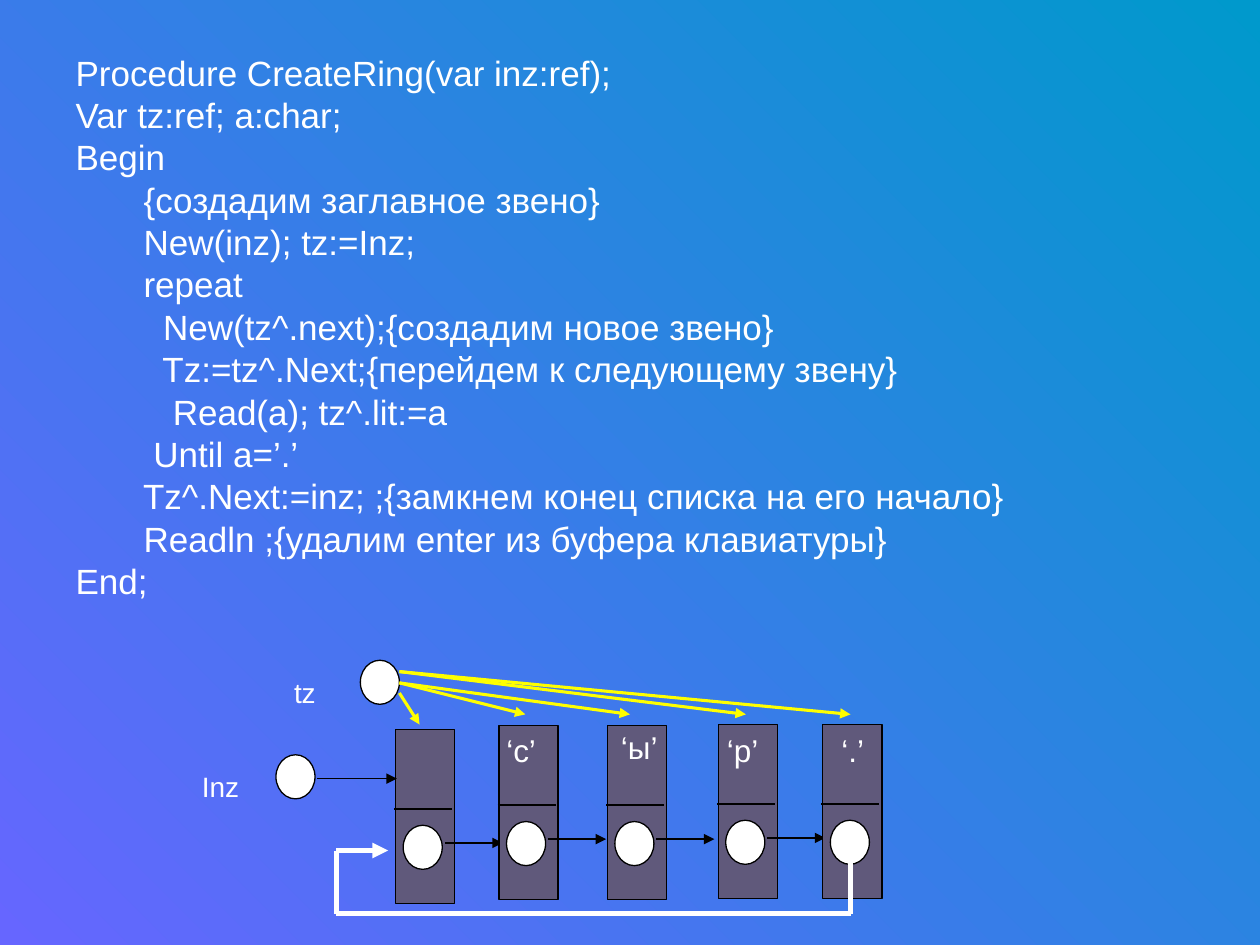
from pptx import Presentation
from pptx import util as u
from pptx.dml.color import RGBColor
from pptx.enum import shapes, text
from pptx.oxml.ns import qn
from lxml import etree

COLORS = {"white": "FFFFFF", "black": "000000", "cell": "60597B",
          "pointer": "FFFF00", "bg_start": "6666FF", "bg_end": "0099CC"}
FONT = "Arial"

CODE = [
    "Procedure CreateRing(var inz:ref);",
    "Var tz:ref; a:char;",
    "Begin",
    "       {создадим заглавное звено}",
    "       New(inz); tz:=Inz;",
    "       repeat",
    "         New(tz^.next);{создадим новое звено}",
    "         Tz:=tz^.Next;{перейдем к следующему звену}",
    "          Read(a); tz^.lit:=a",
    "        Until a=’.’",
    "       Tz^.Next:=inz; ;{замкнем конец списка на его начало}",
    "       Readln ;{удалим enter из буфера клавиатуры}",
    "End;",
]
# left and top of each ring cell
CELLS = [(3.14, 5.79), (3.96, 5.76), (4.82, 5.76), (5.7, 5.75), (6.53, 5.75)]
CELL_SIZE = (0.47, 1.38)
DOT_SIZE = (0.31, 0.35)
LETTERS = [("‘с’", 3.92, 5.75), ("‘ы’", 4.83, 5.73),
           ("‘р’", 5.67, 5.75), ("‘.’", 6.58, 5.75)]
# label, its left and top, then left and top of its dot
VARIABLES = [("Inz", 1.25, 6.06, 2.19, 5.99), ("tz", 1.92, 5.31, 2.86, 5.24)]
# height where each arrow leaves tz, then its end
TZ_ARROWS = [(5.5, 3.33, 5.75), (5.42, 4.17, 5.67), (5.42, 5, 5.67),
             (5.33, 5.92, 5.67), (5.33, 6.75, 5.67)]
RETURN_PATH = [(6.75, 6.83), (6.75, 7.25), (2.67, 7.25), (2.67, 6.75), (3.08, 6.75)]


def rgb(name):
    return RGBColor.from_string(COLORS[name])


def inches(*values):
    return [u.Inches(v) for v in values]


def add_run(paragraph, words, size):
    run = paragraph.add_run()
    run.text = words
    run.font.size = u.Pt(size)
    run.font.name = FONT
    run.font.color.rgb = rgb("white")


def add_label(words, left, top, width, height, size, align):
    frame = slide.shapes.add_textbox(*inches(left, top, width, height)).text_frame
    frame.word_wrap = True
    frame.paragraphs[0].alignment = align
    add_run(frame.paragraphs[0], words, size)


def add_outlined(kind, left, top, size, fill):
    shape = slide.shapes.add_shape(kind, *inches(left, top, *size))
    shape.shadow.inherit = False
    shape.fill.solid()
    shape.fill.fore_color.rgb = rgb(fill)
    shape.line.color.rgb = rgb("black")
    shape.line.width = u.Pt(0.75)


def add_dot(left, top):
    add_outlined(shapes.MSO_SHAPE.OVAL, left, top, DOT_SIZE, "white")


def add_line(start, end, color="black", width=0.75, arrow=False):
    line = slide.shapes.add_connector(
        shapes.MSO_CONNECTOR.STRAIGHT, *inches(*start, *end))
    line.line.color.rgb = rgb(color)
    line.line.width = u.Pt(width)
    if arrow:
        etree.SubElement(line.line._get_or_add_ln(), qn("a:tailEnd"), type="triangle")
    etree.SubElement(line._element.spPr, qn("a:effectLst"))


prs = Presentation()
prs.slide_width, prs.slide_height = inches(10, 7.5)
slide = prs.slides.add_slide(prs.slide_layouts.get_by_name("Title and Content"))
title = slide.shapes.title._element
title.getparent().remove(title)

background = slide.background.fill
background.gradient()
background.gradient_angle = 45
for stop, name in zip(background.gradient_stops, ("bg_start", "bg_end")):
    stop.color.rgb = rgb(name)

# Program listing
listing = slide.placeholders[1]
listing.left, listing.top, listing.width, listing.height = inches(0.5, 0.42, 9, 5.08)
frame = listing.text_frame
frame.auto_size = text.MSO_AUTO_SIZE.NONE
frame.vertical_anchor = text.MSO_ANCHOR.TOP
for row, code_line in enumerate(CODE):
    paragraph = frame.add_paragraph() if row else frame.paragraphs[0]
    props = paragraph._p.get_or_add_pPr()
    props.set("marL", "0")
    props.set("indent", "0")
    etree.SubElement(props, qn("a:buNone"))
    paragraph.line_spacing = 0.8
    paragraph.space_before = u.Pt(5 if row else 0)
    add_run(paragraph, code_line, 20)

# Ring cells, each linked to the next one
for number, (left, top) in enumerate(CELLS, 1):
    add_outlined(shapes.MSO_SHAPE.RECTANGLE, left, top, CELL_SIZE, "cell")
    add_line((left - 0.01, top + 0.63), (left + 0.45, top + 0.63))
    add_dot(left + 0.06, top + 0.76)
    if number < len(CELLS):
        add_line((left + 0.39, top + 0.9), (left + 0.85, top + 0.9), arrow=True)
for letter, left, top in LETTERS:
    add_label(letter, left, top, 0.5, 0.86, 18, text.PP_ALIGN.LEFT)

# Pointer variables
for name, left, top, dot_left, dot_top in VARIABLES:
    add_dot(dot_left, dot_top)
    add_label(name, left, top, 1, 0.44, 16, text.PP_ALIGN.CENTER)
add_line((2.52, 6.18), (3.15, 6.18), arrow=True)
for start_y, end_x, end_y in TZ_ARROWS:
    add_line((3.17, start_y), (end_x, end_y), "pointer", 1.75, arrow=True)

# Way back from the last cell to the first
for start, end in zip(RETURN_PATH, RETURN_PATH[1:]):
    add_line(start, end, "white", 3, arrow=end == RETURN_PATH[-1])

prs.save("out.pptx")
